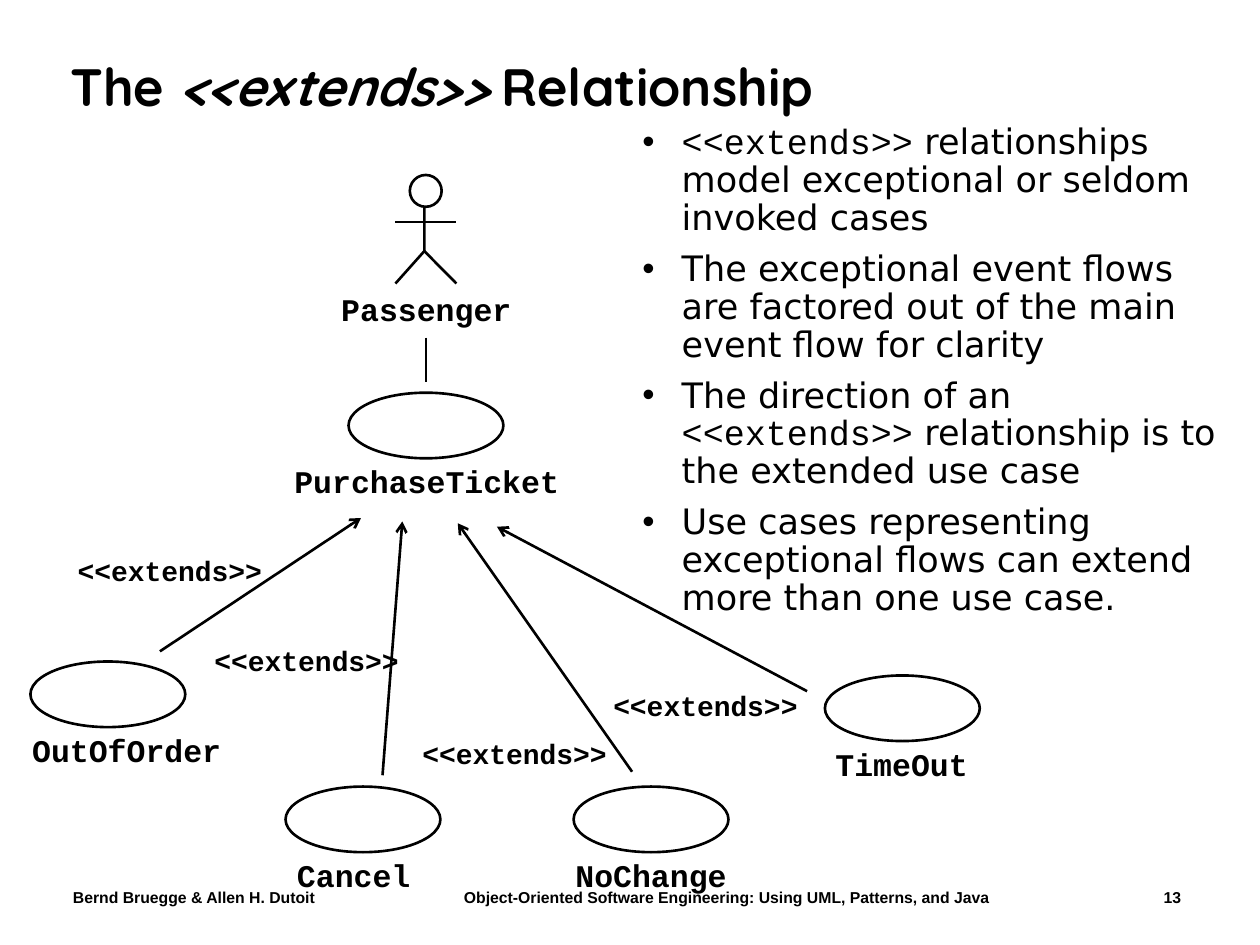
from typing import NamedTuple

from lxml.etree import SubElement
from pptx import Presentation
from pptx.dml.color import RGBColor
from pptx.enum.shapes import MSO_CONNECTOR, MSO_SHAPE
from pptx.enum.text import MSO_ANCHOR, MSO_AUTO_SIZE, PP_ALIGN
from pptx.oxml.ns import qn
from pptx.util import Pt

BLACK = RGBColor(0x00, 0x00, 0x00)
WHITE = RGBColor(0xFF, 0xFF, 0xFF)
MONO, SANS, HEADING, FOOTER = "Courier New", "DejaVu Sans", "Quicksand", "Arial"
LINE_WIDTH = Pt(1.5)
EXTENDS = "<<extends>>"
OVAL_W, OVAL_H = 88.5, 37.5
NAME_DROP, NAME_H = 39.6, 21.6
TAG_W, TAG_H = 119.5, 26.6

NAME_FONT = {"name": MONO, "size": Pt(18), "bold": True}
TAG_FONT = {"name": MONO, "size": Pt(16), "bold": True}
TITLE_FONT = {"name": HEADING, "size": Pt(30), "bold": True}
CODE_FONT = {"name": MONO, "size": Pt(20)}
BODY_FONT = {"name": SANS, "size": Pt(20)}
FOOTER_FONT = {"name": FOOTER, "size": Pt(9), "bold": True}


class UseCase(NamedTuple):
    name: str
    x: float
    y: float
    name_x: float
    name_w: float


class Extension(NamedTuple):
    base: tuple[float, float]
    source: tuple[float, float]
    tag: tuple[float, float]


USE_CASES = [
    UseCase("PurchaseTicket", 199.2, 224.4, 168.2, 151.2),
    UseCase("TimeOut", 471.4, 386, 477.4, 75.6),
    UseCase("NoChange", 327.8, 449.5, 328.8, 86.4),
    UseCase("OutOfOrder", 17.4, 378, 18.4, 108),
    UseCase("Cancel", 163.2, 449.5, 169.7, 64.8),
]
EXTENSIONS = [
    Extension((284, 301), (461.2, 395), (343.4, 389.5)),
    Extension((261.6, 299), (361.2, 441), (234.3, 417.4)),
    Extension((206.3, 296), (91.4, 372.2), (37.3, 312.4)),
    Extension((229.9, 298), (218.6, 443), (115.5, 364.3)),
]
BULLETS = [
    [(EXTENDS, CODE_FONT),
     (" relationships model exceptional or seldom invoked cases", BODY_FONT)],
    [("The exceptional event flows are factored out of the main event flow for clarity",
      BODY_FONT)],
    [("The direction of an ", BODY_FONT), (EXTENDS, CODE_FONT),
     (" relationship is to the extended use case", BODY_FONT)],
    [("Use cases representing exceptional flows can extend more than one use case.",
      BODY_FONT)],
]


def add_run(p, text: str, fmt: dict) -> None:
    r = p.add_run()
    r.text = text
    r.font.color.rgb = BLACK
    for key, value in fmt.items():
        setattr(r.font, key, value)


def add_box(s, x: float, y: float, w: float, h: float, **frame):
    """Add a text box, apply the text frame values, and return the frame."""
    tf = s.shapes.add_textbox(Pt(x), Pt(y), Pt(w), Pt(h)).text_frame
    tf.word_wrap = True
    for key, value in frame.items():
        setattr(tf, key, value)
    return tf


def add_name(s, text: str, x: float, y: float, w: float) -> None:
    margins = {f"margin_{side}": 0 for side in ("left", "top", "right", "bottom")}
    tf = add_box(s, x, y, w, NAME_H, word_wrap=False,
                 auto_size=MSO_AUTO_SIZE.SHAPE_TO_FIT_TEXT, **margins)
    add_run(tf.paragraphs[0], text, NAME_FONT)


def outline(sp) -> None:
    sp.line.color.rgb = BLACK
    sp.line.width = LINE_WIDTH


def add_line(s, start: tuple[float, float], end: tuple[float, float],
             arrow: bool = False) -> None:
    """Draw a straight line; the arrowhead, if any, sits at the start."""
    c = s.shapes.add_connector(MSO_CONNECTOR.STRAIGHT, *map(Pt, start + end))
    outline(c)
    if arrow:
        SubElement(c.line._get_or_add_ln(), qn("a:headEnd"), type="arrow")
    SubElement(c._element.spPr, qn("a:effectLst"))


def add_oval(s, x: float, y: float, w: float, h: float, fill=None) -> None:
    sp = s.shapes.add_shape(MSO_SHAPE.OVAL, Pt(x), Pt(y), Pt(w), Pt(h))
    sp.shadow.inherit = False
    if fill is None:
        sp.fill.background()
    else:
        sp.fill.solid()
        sp.fill.fore_color.rgb = fill
    outline(sp)


def add_actor(s) -> None:
    hip = (242.5, 143.5)
    builder = s.shapes.build_freeform(Pt(242.5), Pt(113), scale=1.0)
    builder.add_line_segments([(Pt(242.5), Pt(143.5)), (Pt(226), Pt(162))], close=False)
    sp = builder.convert_to_shape()
    sp.shadow.inherit = False
    sp.fill.background()
    outline(sp)
    add_line(s, hip, (260.8, 162))
    add_line(s, (226, 126.8), (260.8, 126.8))
    add_oval(s, 234.2, 100, 18.2, 18.2, WHITE)
    add_name(s, "Passenger", 195, 165.6, 97.2)


def add_use_case(s, case: UseCase) -> None:
    add_oval(s, case.x, case.y, OVAL_W, OVAL_H)
    add_name(s, case.name, case.name_x, case.y + NAME_DROP, case.name_w)


def add_extension(s, ext: Extension) -> None:
    add_line(s, ext.base, ext.source, arrow=True)
    tf = add_box(s, *ext.tag, TAG_W, TAG_H, word_wrap=False,
                 auto_size=MSO_AUTO_SIZE.SHAPE_TO_FIT_TEXT,
                 vertical_anchor=MSO_ANCHOR.MIDDLE)
    p = tf.paragraphs[0]
    p.alignment = PP_ALIGN.CENTER
    add_run(p, EXTENDS, TAG_FONT)


def add_footer(s) -> None:
    p = add_box(s, 28, 504, 660, 18, margin_left=Pt(13.7)).paragraphs[0]
    tabs = SubElement(p._p.get_or_add_pPr(), qn("a:tabLst"))
    for pos, align in ((373.4, "ctr"), (633.2, "r")):
        SubElement(tabs, qn("a:tab"), pos=str(Pt(pos)), algn=align)
    add_run(p, "Bernd Bruegge & Allen H. Dutoit\tObject-Oriented Software Engineering: "
               "Using UML, Patterns, and Java\t13", FOOTER_FONT)


def add_title(s) -> None:
    p = add_box(s, 33.1, 17.3, 642.2, 67.7,
                vertical_anchor=MSO_ANCHOR.MIDDLE).paragraphs[0]
    p.line_spacing = 0.9
    add_run(p, "The ", TITLE_FONT)
    add_run(p, EXTENDS, TITLE_FONT | {"italic": True})
    add_run(p, " ", TITLE_FONT | {"size": Pt(26), "italic": True})
    add_run(p, "Relationship", TITLE_FONT)


def add_bullets(s) -> None:
    tf = add_box(s, 360, 67.7, 352, 378)
    for i, runs in enumerate(BULLETS):
        p = tf.add_paragraph() if i else tf.paragraphs[0]
        p.line_spacing = 0.9
        p.space_before = Pt(7.5 if i else 0)
        pPr = p._p.get_or_add_pPr()
        pPr.set("marL", str(Pt(22.5)))
        pPr.set("indent", str(-Pt(22.5)))
        SubElement(pPr, qn("a:buFont"), typeface=FOOTER)
        SubElement(pPr, qn("a:buChar"), char="•")
        for text, fmt in runs:
            add_run(p, text, fmt)


def main() -> None:
    prs = Presentation()
    prs.slide_width, prs.slide_height = Pt(720), Pt(540)
    s = prs.slides.add_slide(prs.slide_layouts[6])
    add_footer(s)
    add_title(s)
    add_bullets(s)
    add_actor(s)
    add_line(s, (243.4, 193), (243.4, 218.2))
    for case in USE_CASES:
        add_use_case(s, case)
    for ext in EXTENSIONS:
        add_extension(s, ext)
    prs.save("out.pptx")


if __name__ == "__main__":
    main()
